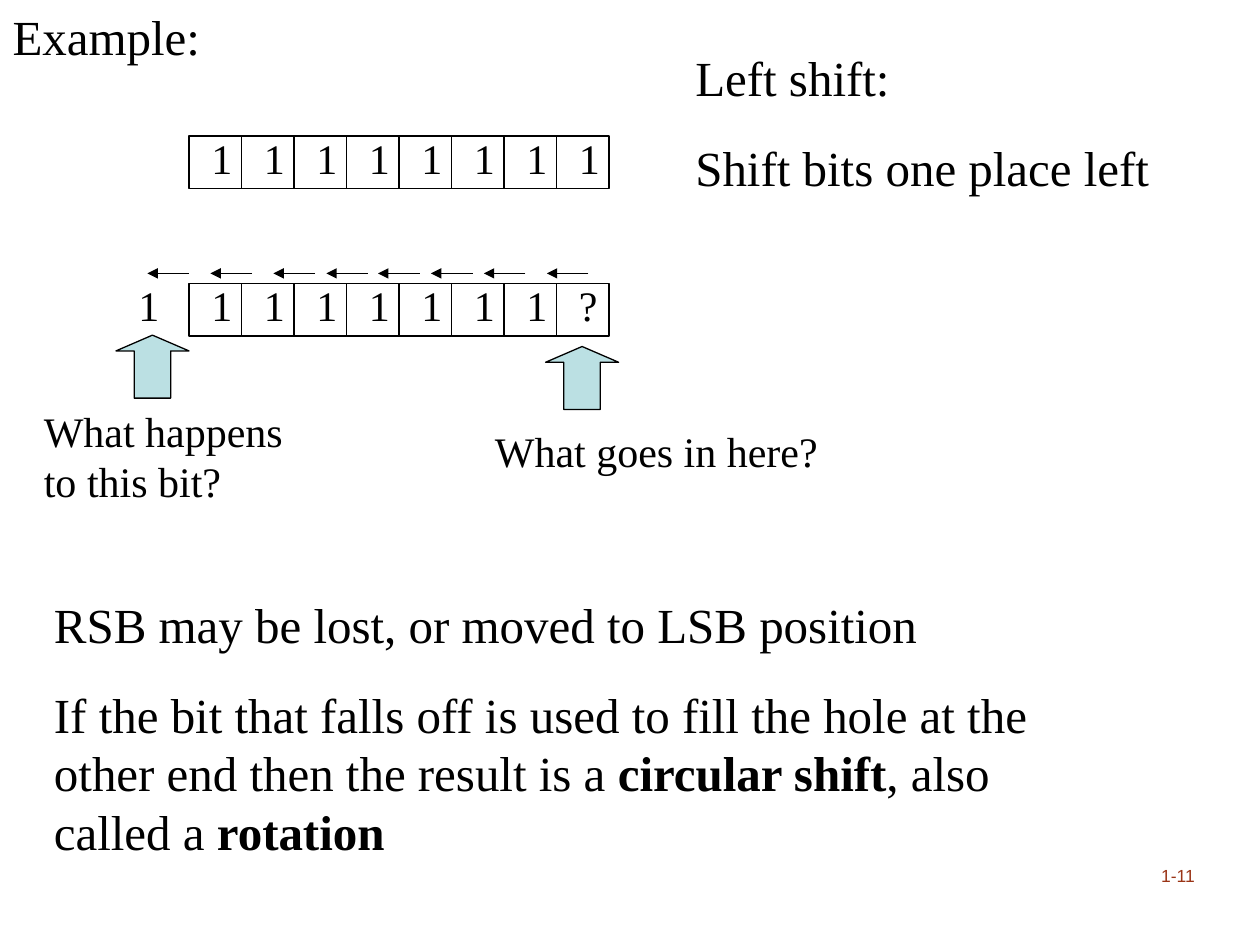
from lxml.etree import SubElement
from pptx import Presentation
from pptx.dml.color import RGBColor
from pptx.enum.shapes import MSO_CONNECTOR, MSO_SHAPE
from pptx.enum.text import MSO_ANCHOR, MSO_AUTO_SIZE, PP_ALIGN
from pptx.oxml.ns import qn
from pptx.util import Inches, Pt

COLORS = {"ink": "000000", "arrow": "BBE0E3", "number": "9A3416"}
SERIF, SANS = "Times New Roman", "Arial"

TITLE = "Example:"
SLIDE_NUMBER = "1-11"
CARRIED_BIT = "1"
# bits, top of the row
BIT_ROWS = [("11111111", 1.08), ("1111111?", 2.25)]
# paragraphs as (text, bold) runs; left, top, width, height; size; gap between paragraphs
NOTES = [
    ([[("Left shift:", False)], [("Shift bits one place left", False)]],
     (5.42, 0.33, 4.08, 1.28), 28, 17.5),
    ([[("What happens", False)], [("to this bit?", False)]],
     (0.25, 3.17, 2.5, 0.9), 24, 0),
    ([[("What goes in here?", False)]], (3.83, 3.33, 3.17, 0.5), 24, 0),
    ([[("RSB may be lost, or moved to LSB position", False)],
      [("If the bit that falls off is used to fill the hole at the other end "
        "then the result is a ", False), ("circular shift", True),
       (", also called a ", False), ("rotation", True)]],
     (0.33, 4.67, 8.25, 2.21), 28, 17.5),
]
SHIFT_STARTS = [4.67, 4.17, 3.75, 3.33, 2.92, 2.5, 2, 1.5]
SHIFT_TOP, SHIFT_LENGTH = 2.17, 0.33
POINTERS = [(0.96, 2.62), (4.37, 2.71)]
ROW_LEFT, CELL = 1.5, 5 / 12
BIT_INDENT, BIT_RISE = 0.08, 0.08


def color(name):
    return RGBColor.from_string(COLORS[name])


def outline(shape):
    shape.line.color.rgb = color("ink")
    shape.line.width = Pt(0.75)


def write(box, paragraphs, size, gap=0, font=SERIF, ink="ink"):
    """Fill a text box with paragraphs, each a list of (text, bold) runs."""
    frame = box.text_frame
    frame.word_wrap = True
    for index, runs in enumerate(paragraphs):
        para = frame.add_paragraph() if index else frame.paragraphs[0]
        para.space_before = Pt(gap if index else 0)
        for text, bold in runs:
            span = para.add_run()
            span.text = text
            span.font.name, span.font.size, span.font.bold = font, Pt(size), bold
            span.font.color.rgb = color(ink)
    return frame


def add_text(page, area, paragraphs, size, **style):
    box = page.shapes.add_textbox(*map(Inches, area))
    return write(box, paragraphs, size, **style)


def add_bit(page, bit, left, top):
    add_text(page, (left, top, 0.2, 0.5), [[(bit, False)]], 24)


def add_bit_row(page, bits, top):
    for index, bit in enumerate(bits):
        left = ROW_LEFT + index * CELL
        cell = page.shapes.add_shape(
            MSO_SHAPE.RECTANGLE, Inches(left), Inches(top), Inches(CELL), Inches(CELL))
        cell.shadow.inherit = False
        cell.fill.background()
        outline(cell)
        add_bit(page, bit, left + BIT_INDENT, top - BIT_RISE)


def add_shift_arrow(page, start):
    arrow = page.shapes.add_connector(
        MSO_CONNECTOR.STRAIGHT, Inches(start), Inches(SHIFT_TOP),
        Inches(start - SHIFT_LENGTH), Inches(SHIFT_TOP))
    outline(arrow)
    SubElement(arrow.line._get_or_add_ln(), qn("a:tailEnd"), type="triangle")
    SubElement(arrow._element.spPr, qn("a:effectLst"))


def add_pointer(page, left, top):
    pointer = page.shapes.add_shape(
        MSO_SHAPE.RIGHT_ARROW, Inches(left), Inches(top), Inches(0.5), Inches(0.58))
    pointer.rotation = 270
    pointer.adjustments[0], pointer.adjustments[1] = 0.5, 0.25
    pointer.shadow.inherit = False
    pointer.fill.solid()
    pointer.fill.fore_color.rgb = color("arrow")
    outline(pointer)


def main():
    deck = Presentation()
    deck.slide_width, deck.slide_height = Inches(10), Inches(7.5)
    page = deck.slides.add_slide(deck.slide_layouts[5])

    title = page.shapes.title
    title.left, title.top, title.width, title.height = map(Inches, (0, 0, 3.75, 0.57))
    frame = write(title, [[(TITLE, False)]], 28)
    frame.auto_size = MSO_AUTO_SIZE.NONE
    frame.vertical_anchor = MSO_ANCHOR.TOP
    frame.paragraphs[0].alignment = PP_ALIGN.LEFT

    add_bit(page, CARRIED_BIT, 1, BIT_ROWS[1][1] - BIT_RISE)
    for bits, top in BIT_ROWS:
        add_bit_row(page, bits, top)
    for start in SHIFT_STARTS:
        add_shift_arrow(page, start)
    for left, top in POINTERS:
        add_pointer(page, left, top)
    for paragraphs, area, size, gap in NOTES:
        add_text(page, area, paragraphs, size, gap=gap)

    number = add_text(page, (8.83, 6.58, 0.75, 0.5), [[(SLIDE_NUMBER, False)]], 10,
                      font=SANS, ink="number")
    number.vertical_anchor = MSO_ANCHOR.BOTTOM
    number.paragraphs[0].alignment = PP_ALIGN.RIGHT

    deck.save("out.pptx")


if __name__ == "__main__":
    main()
